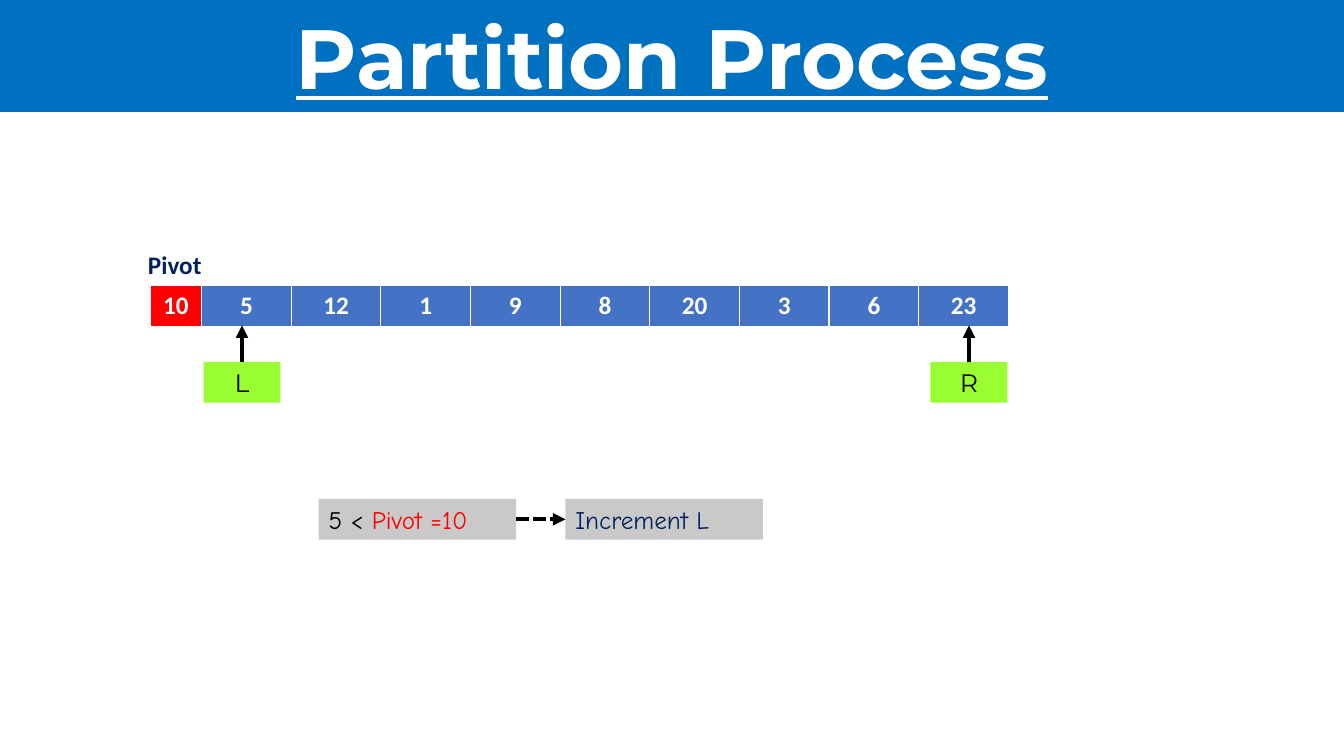
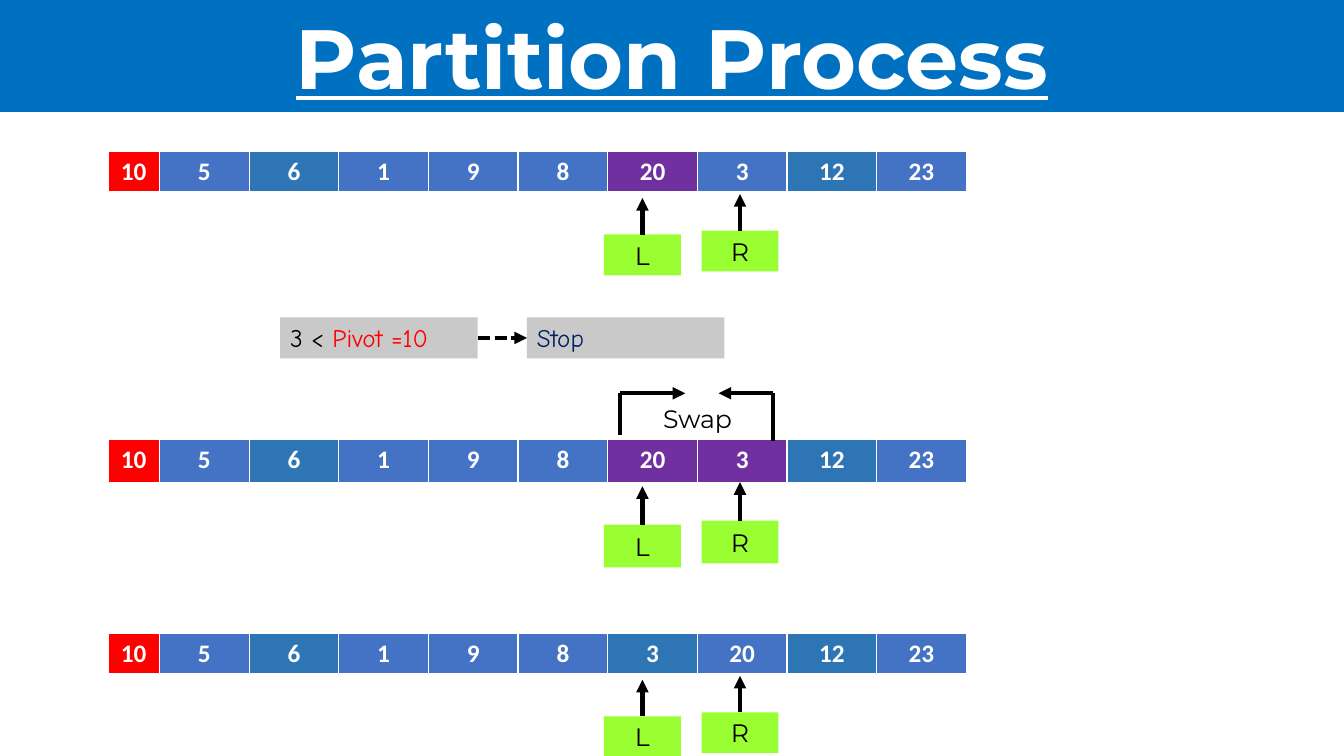
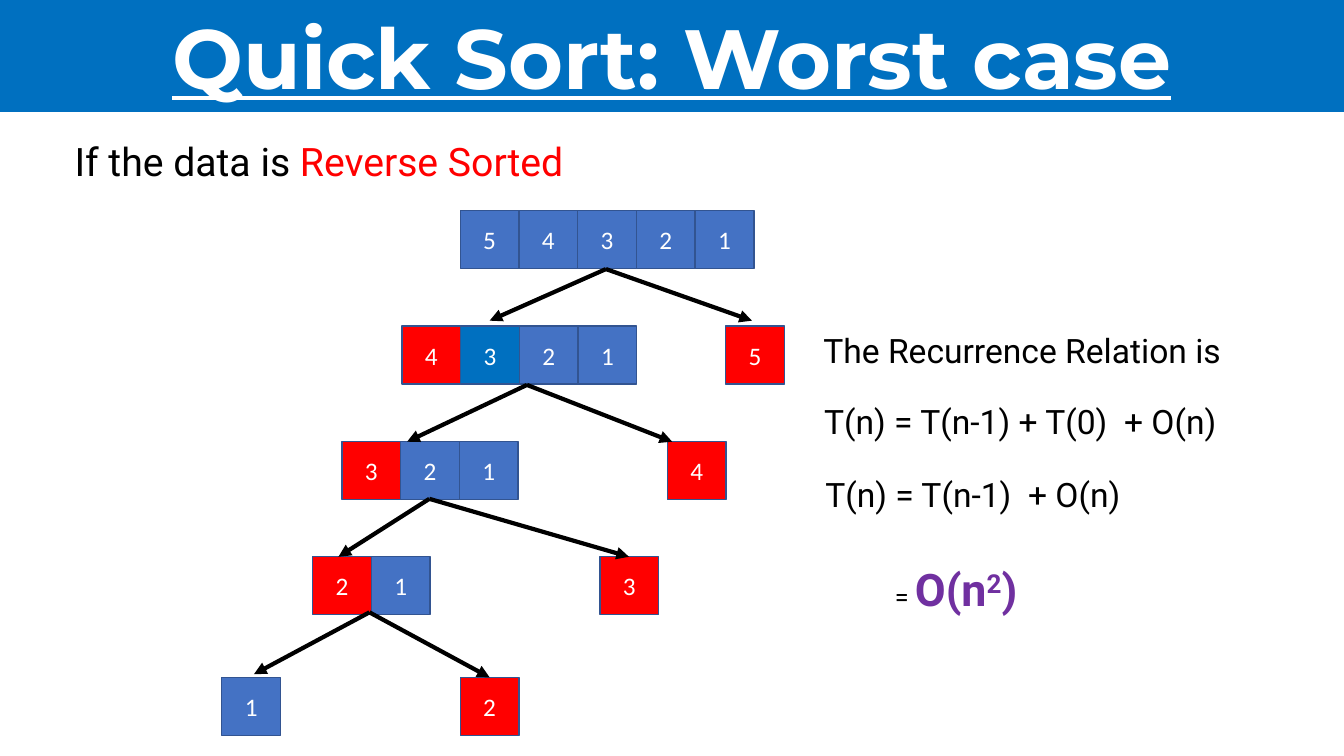
from lxml.etree import SubElement
from pptx import Presentation
from pptx.dml.color import RGBColor
from pptx.enum.dml import MSO_LINE
from pptx.enum.shapes import MSO_CONNECTOR, MSO_SHAPE
from pptx.enum.text import MSO_ANCHOR, PP_ALIGN
from pptx.oxml.ns import qn
from pptx.util import Cm, Pt

COLORS = {
    "band": "0070C0", "white": "FFFFFF", "black": "000000", "red": "FF0000",
    "cell": "4472C4", "swapped": "2E75B6", "active": "7030A0", "pointer": "99FF33",
    "grey": "C9C9C9", "navy": "002060", "outline": "325491",
}
ROW_H, POINTER_W, NODE_W, NODE_H = 1.03, 1.94, 1.48, 1.46


def rgb(name):
    """Return the named colour."""
    return RGBColor.from_string(COLORS[name])


class Deck:
    """Draw the slides of the sorting lesson in one style."""

    def __init__(self):
        """Start a widescreen presentation."""
        self.prs = Presentation()
        self.prs.slide_width, self.prs.slide_height = Cm(33.87), Cm(19.05)

    def slide(self, title):
        """Add a slide with its title band."""
        self.s = self.prs.slides.add_slide(self.prs.slide_layouts[5])
        sp = self.s.shapes.title
        sp.left, sp.top, sp.width, sp.height = 0, 0, self.prs.slide_width, Cm(2.82)
        sp.fill.solid()
        sp.fill.fore_color.rgb = rgb("band")
        p = self.set_runs(sp.text_frame, [(title, "white")], 60, "Montserrat",
                          PP_ALIGN.CENTER, True)
        p.runs[0].font.underline = True

    def set_runs(self, tf, parts, size, font, align=PP_ALIGN.LEFT, bold=False):
        """Fill a text frame with coloured runs."""
        tf.word_wrap = True
        tf.vertical_anchor = MSO_ANCHOR.MIDDLE
        p = tf.paragraphs[0]
        p.alignment = align
        for text, color in parts:
            r = p.add_run()
            r.text = text
            r.font.size, r.font.name, r.font.bold = Pt(size), font, bold
            r.font.color.rgb = rgb(color)
        return p

    def text(self, x, y, w, h, parts, size, font, bold=False):
        """Add a text box."""
        sp = self.s.shapes.add_textbox(Cm(x), Cm(y), Cm(w), Cm(h))
        return self.set_runs(sp.text_frame, parts, size, font, bold=bold)

    def box(self, x, y, w, h, fill, parts, font, align=PP_ALIGN.CENTER, outline=None):
        """Add a filled rectangle with text."""
        sp = self.s.shapes.add_shape(MSO_SHAPE.RECTANGLE, Cm(x), Cm(y), Cm(w), Cm(h))
        sp.shadow.inherit = False
        sp.fill.solid()
        sp.fill.fore_color.rgb = rgb(fill)
        if outline:
            sp.line.color.rgb = rgb(outline)
            sp.line.width = Pt(1)
        else:
            sp.line.fill.background()
        self.set_runs(sp.text_frame, parts, 18, font, align)

    def line(self, start, end, head=True, dashed=False):
        """Add a thick black line or arrow."""
        ends = [Cm(v) for v in (*start, *end)]
        cx = self.s.shapes.add_connector(MSO_CONNECTOR.STRAIGHT, *ends)
        cx.line.color.rgb = rgb("black")
        cx.line.width = Pt(3)
        if dashed:
            cx.line.dash_style = MSO_LINE.SQUARE_DOT
        spPr = cx._element.spPr
        if head:
            SubElement(spPr.find(qn("a:ln")), qn("a:tailEnd"), type="triangle")
        SubElement(spPr, qn("a:effectLst"))

    def array(self, x, y, values, fills=None, h=ROW_H):
        """Add a one-row table led by the red pivot."""
        tbl = self.s.shapes.add_table(1, len(values), Cm(x), Cm(y), Cm(21.64), Cm(h)).table
        tbl.horz_banding = False
        tbl.rows[0].height = Cm(h)
        fills = {0: "red", **(fills or {})}
        for i, value in enumerate(values):
            tbl.columns[i].width = Cm(2.26 if i else 1.3)
            cell = tbl.cell(0, i)
            cell.fill.solid()
            cell.fill.fore_color.rgb = rgb(fills.get(i, "cell"))
            self.set_runs(cell.text_frame, [(str(value), "white")], 18, "Calibri",
                          PP_ALIGN.CENTER, True)

    def pointer(self, label, x, y, h=ROW_H):
        """Add a labelled box with an arrow up to the array."""
        self.box(x, y, POINTER_W, h, "pointer", [(label, "black")], "Montserrat")
        mid = x + POINTER_W / 2
        self.line((mid, y), (mid, y - h + 0.11))

    def step(self, x, y, test, action):
        """Add a comparison and the action it leads to."""
        w, pitch = 4.98, 6.22
        parts = [(test, "black"), ("Pivot =10", "red")]
        self.box(x, y, w, ROW_H, "grey", parts, "Comic Neue", PP_ALIGN.LEFT)
        self.box(x + pitch, y, w, ROW_H, "grey", [(action, "navy")], "Comic Neue", PP_ALIGN.LEFT)
        mid = y + ROW_H / 2
        self.line((x + w, mid), (x + pitch, mid), dashed=True)

    def bracket(self, x, bottom, top, tip):
        """Add an upright that turns into a sideways arrow."""
        self.line((x, bottom), (x, top), head=False)
        self.line((x, top), (tip, top))

    def nodes(self, x, y, values, fills):
        """Add a run of adjoining tree cells."""
        for i, value in enumerate(values):
            self.box(x + i * NODE_W, y, NODE_W, NODE_H, fills.get(i, "cell"),
                     [(str(value), "white")], "Calibri", outline="outline")


def first_step(d):
    """Build the first comparison."""
    d.slide("Partition Process")
    d.array(3.78, 7.19, [10, 5, 12, 1, 9, 8, 20, 3, 6, 23])
    d.pointer("L", 5.13, 9.12)
    d.pointer("R", 23.45, 9.12)
    d.step(8.03, 12.57, "5 < ", "Increment L")
    d.text(3.48, 6.15, POINTER_W, ROW_H, [("Pivot", "navy")], 18, "Calibri", True)


def swap_step(d):
    """Build the swap of 20 and 3."""
    d.slide("Partition Process")
    before = [10, 5, 6, 1, 9, 8, 20, 3, 12, 23]
    after = [10, 5, 6, 1, 9, 8, 3, 20, 12, 23]
    stages = [
        (3.81, ROW_H, before, {6: "active"}),
        (11.07, 1.08, before, {6: "active", 7: "active"}),
        (15.95, ROW_H, after, {6: "swapped"}),
    ]
    for y, h, values, fills in stages:
        d.array(2.72, y, values, {2: "swapped", 8: "swapped", **fills}, h)
        d.pointer("L", 15.22, y + h + 1.07, h)
        d.pointer("R", 17.68, y + h + 0.97, h)
    d.step(7.06, 8, "3 < ", "Stop")
    d.bracket(15.62, 10.97, 9.91, 17.27)
    d.bracket(19.48, 11.1, 9.91, 18.11)
    d.text(16.46, 10.03, 2.46, ROW_H, [("Swap", "black")], 18, "Montserrat")


def worst_case(d):
    """Build the recursion tree and its cost."""
    d.slide("Quick Sort: Worst case")
    d.text(1.63, 3.33, 18.49, 1.45,
           [("If the data is ", "black"), ("Reverse Sorted", "red")], 28, "Roboto")
    levels = [
        (11.6, 5.31, {}),
        (10.13, 8.22, {0: "red", 1: "band"}),
        (8.62, 11.13, {0: "red"}),
        (7.88, 14.03, {0: "red"}),
        (5.59, 17.07, {}),
    ]
    for depth, (x, y, fills) in enumerate(levels):
        d.nodes(x, y, range(5 - depth, 0, -1), fills)
    pivots = [18.29, 16.82, 15.12, 11.6]
    for depth, x in enumerate(pivots):
        d.nodes(x, levels[depth + 1][1], [5 - depth], {0: "red"})
    branches = [
        ((15.27, 6.78), (12.34, 8.08), (18.95, 8.08)),
        ((13.28, 9.7), (10.26, 11.13), (16.94, 11.13)),
        ((10.82, 12.57), (8.53, 14.03), (15.85, 14.03)),
        ((9.31, 15.43), (6.4, 16.99), (12.34, 17.07)),
    ]
    for apex, left, right in branches:
        d.line(apex, left)
        d.line(apex, right)
    formulas = [
        (20.5, 8.18, "The Recurrence Relation is"),
        (20.52, 9.98, "T(n) = T(n-1) + T(0)  + O(n)"),
        (20.55, 11.81, "T(n) = T(n-1)  + O(n)"),
    ]
    for x, y, formula in formulas:
        d.text(x, y, 12.9, 1.27, [(formula, "black")], 24, "Roboto")
    parts = [("= ", "black"), ("O(n", "active"), ("2", "active"), (")", "active")]
    p = d.text(22.3, 14.02, 10.34, 1.63, parts, 32, "Roboto", True)
    equals, _, power, _ = p.runs
    equals.font.size, equals.font.bold = Pt(18), False
    power._r.get_or_add_rPr().set("baseline", "30000")


def main():
    """Build and save the deck."""
    d = Deck()
    first_step(d)
    swap_step(d)
    worst_case(d)
    d.prs.save("out.pptx")


if __name__ == "__main__":
    main()
